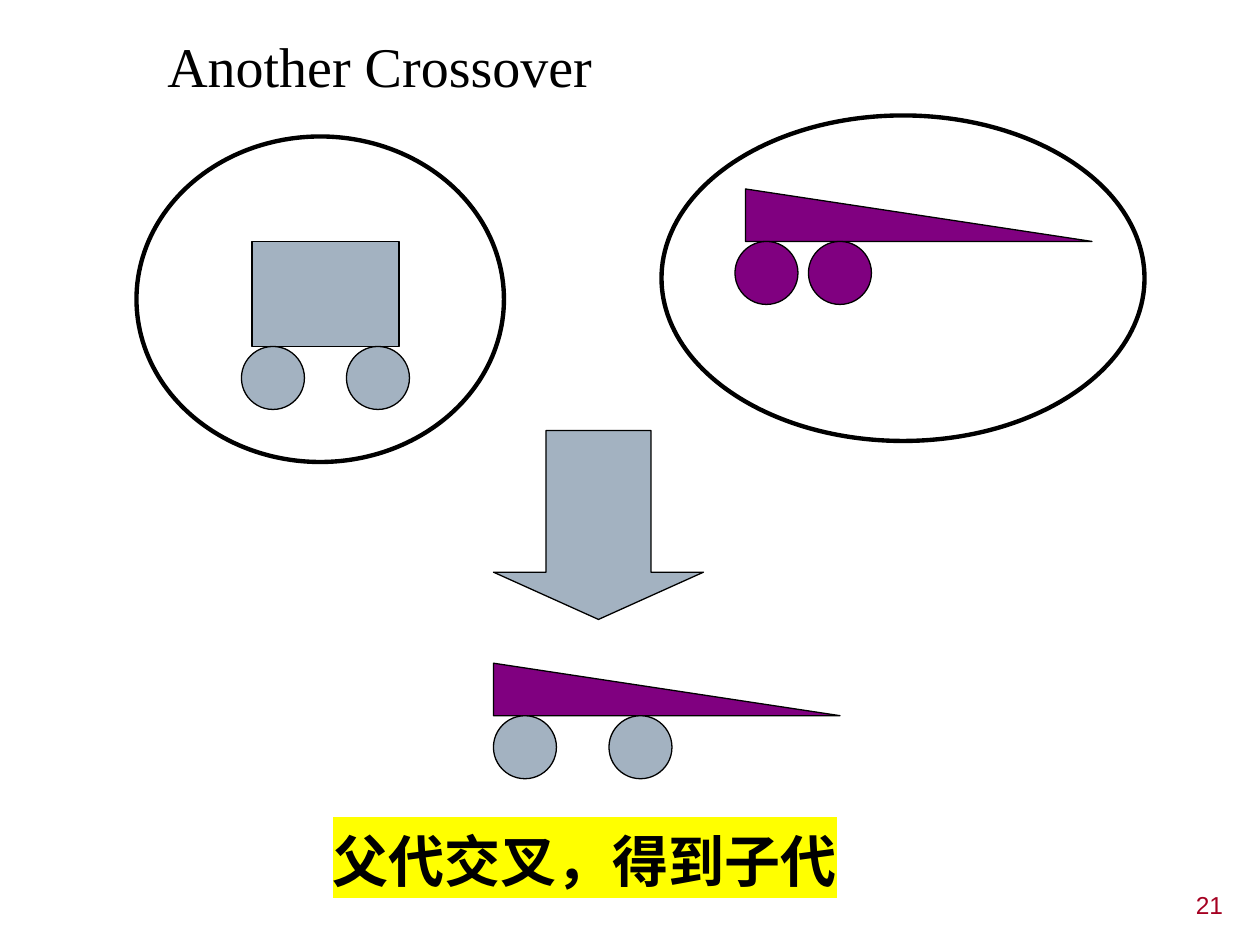
from lxml import etree
from pptx import Presentation
from pptx.dml.color import RGBColor
from pptx.enum.shapes import MSO_SHAPE as Shape
from pptx.enum.text import PP_ALIGN as Align
from pptx.oxml.ns import qn
from pptx.util import Pt

BLACK = RGBColor(0x00, 0x00, 0x00)
GREY = RGBColor(0xA3, 0xB2, 0xC1)
PURPLE = RGBColor(0x80, 0x00, 0x80)
RED = RGBColor(0xA5, 0x00, 0x21)
YELLOW = RGBColor(0xFF, 0xFF, 0x00)

WHEEL = 36

# Content: boxes are (left, top, width, height) in points
CARTS = [  # body shape, body box, body colour, wheel lefts, wheel colour
    (Shape.RECTANGLE, (144, 138, 84, 60), GREY, (138, 198), GREY),
    (Shape.RIGHT_TRIANGLE, (426, 108, 198, 30), PURPLE, (420, 462), PURPLE),
    (Shape.RIGHT_TRIANGLE, (282, 379, 198, 30), PURPLE, (282, 348), GREY),
]
PARENT_RINGS = [(78, 78, 210, 186), (378, 66, 276, 186)]
ARROW = (282, 246, 120, 108)

TITLE = ("Another Crossover", (88.5, 14.5, 262, 45.5))
CAPTION = ("父代交叉，得到子代", (183, 468.5, 453, 46))
PAGE_NUMBER = ("21", (550, 505, 156, 28))


def add_shape(slide, kind, box, fill=None, line_width=0.75):
    shape = slide.shapes.add_shape(kind, *map(Pt, box))
    shape.shadow.inherit = False
    if fill is None:
        shape.fill.background()
    else:
        shape.fill.solid()
        shape.fill.fore_color.rgb = fill
    shape.line.color.rgb = BLACK
    shape.line.width = Pt(line_width)
    return shape


def add_text(slide, content, font_name, size, color=BLACK):
    text, box = content
    frame = slide.shapes.add_textbox(*map(Pt, box)).text_frame
    frame.word_wrap = True
    paragraph = frame.paragraphs[0]
    paragraph.add_run().text = text
    font = paragraph.font
    font.name, font.size = font_name, Pt(size)
    font.color.rgb = color
    return paragraph


def highlight(run, color):
    properties = run._r.get_or_add_rPr()
    element = etree.SubElement(properties, qn("a:highlight"))
    etree.SubElement(element, qn("a:srgbClr"), val=str(color))


def main():
    presentation = Presentation()
    presentation.slide_width, presentation.slide_height = Pt(720), Pt(540)
    slide = presentation.slides.add_slide(presentation.slide_layouts[6])

    # Carts: wheels hang from the bottom of the body
    for kind, body, body_color, wheel_lefts, wheel_color in CARTS:
        add_shape(slide, kind, body, body_color)
        wheel_top = body[1] + body[3]
        for left in wheel_lefts:
            add_shape(slide, Shape.OVAL, (left, wheel_top, WHEEL, WHEEL), wheel_color)

    # Rings around the parents, arrow to the child
    for ring in PARENT_RINGS:
        add_shape(slide, Shape.OVAL, ring, line_width=2.5)
    arrow = add_shape(slide, Shape.DOWN_ARROW, ARROW, GREY)
    arrow.adjustments[0], arrow.adjustments[1] = 0.5, 0.25

    # Title, caption and page number
    add_text(slide, TITLE, "Times New Roman", 32)
    caption = add_text(slide, CAPTION, "Arial", 32)
    caption.font.bold = True
    highlight(caption.runs[0], YELLOW)
    number = add_text(slide, PAGE_NUMBER, "Arial", 14, RED)
    number.alignment = Align.RIGHT

    presentation.save("out.pptx")


if __name__ == "__main__":
    main()
